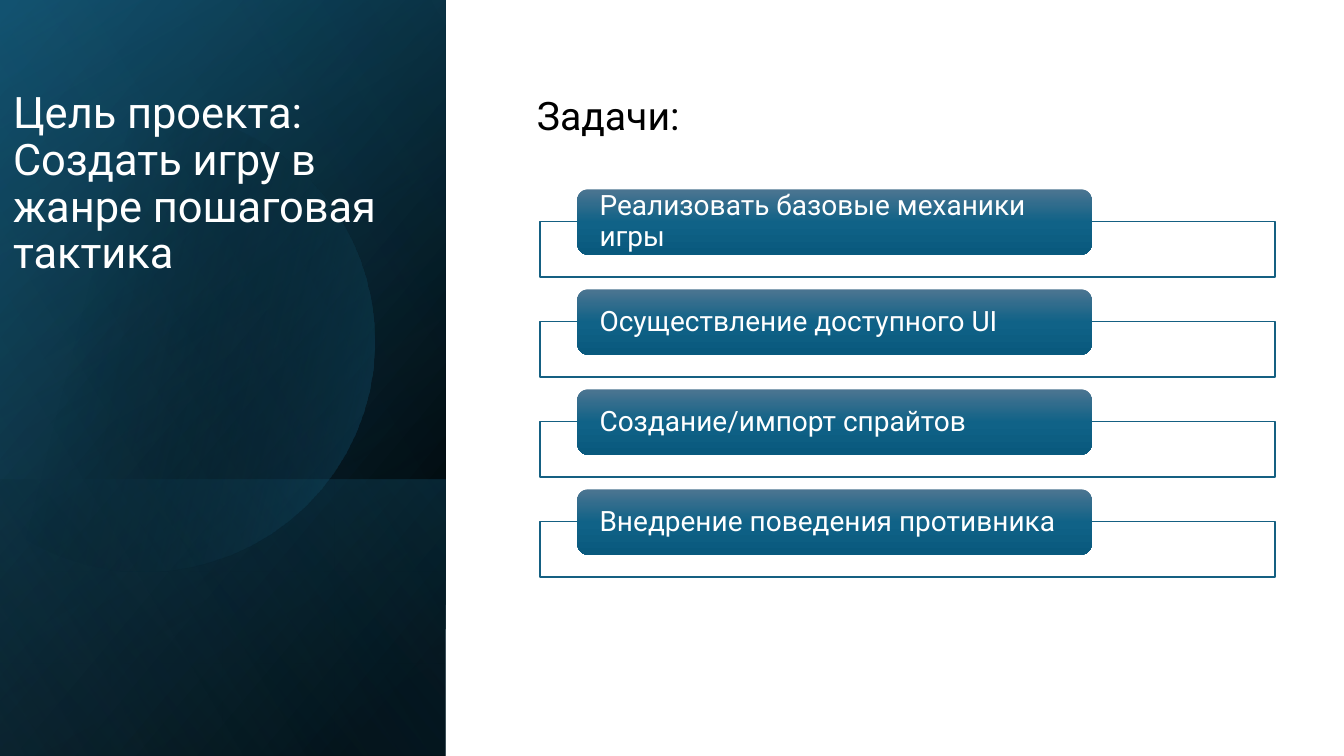
from lxml import etree
from pptx import Presentation
from pptx import util as u
from pptx.dml.color import RGBColor
from pptx.enum import shapes, text
from pptx.oxml import ns

WHITE = RGBColor(0xFF, 0xFF, 0xFF)
BLACK = RGBColor(0x00, 0x00, 0x00)
TEAL = RGBColor(0x15, 0x60, 0x82)
DEEP = RGBColor(0x10, 0x48, 0x62)
SKY = RGBColor(0x46, 0xB1, 0xE1)
CARD_TOP = RGBColor(0x4C, 0x75, 0x91)
CARD_MID = RGBColor(0x10, 0x62, 0x87)
CARD_LOW = RGBColor(0x09, 0x59, 0x7D)

FONT = "Roboto"
TASKS = ["Реализовать базовые механики игры", "Осуществление доступного UI",
         "Создание/импорт спрайтов", "Внедрение поведения противника"]
CARD_STOPS = [(0, CARD_TOP, 100), (50, CARD_MID, 100), (100, CARD_LOW, 100)]
GLOW_START = (9.22, 5.59)
GLOW_CURVES = [
    [(9.04, 2.84), (11.3, 4.5), (12.01, 6.99)][:0] or
    [(6.25, 2.84), (8.51, 4.5), (9.22, 6.99)],
    [(10.11, 10.08), (8.33, 13.28), (5.26, 14.17)],
    [(3.33, 14.73), (1.35, 14.25), (-0.08, 13.06)],
    [(-0.2, 12.96), (-0.28, 12.88), (-0.38, 12.78)],
    [(-0.38, 10), (-0.38, 7.2), (-0.38, 4.45)],
    [(-0.25, 4.33), (-0.13, 4.2), (0, 4.09)],
    [(0.58, 3.58), (1.27, 3.25), (2.03, 3.02)],
    [(2.62, 2.87), (3.2, 2.79), (3.78, 2.79)],
]
GLOW_START = GLOW_CURVES[-1][-1]


def set_gradient(sp, stops, angle):
    """Fill a shape with a linear gradient of (position, colour, opacity) stops."""
    sp.shadow.inherit = False
    sp.line.fill.background()
    sp.fill.background()
    grad = etree.Element(ns.qn("a:gradFill"), rotWithShape="1")
    gs_list = etree.SubElement(grad, ns.qn("a:gsLst"))
    for pos, color, opacity in stops:
        gs = etree.SubElement(gs_list, ns.qn("a:gs"), pos=str(pos * 1000))
        clr = etree.SubElement(gs, ns.qn("a:srgbClr"), val=str(color))
        etree.SubElement(clr, ns.qn("a:alpha"), val=str(opacity * 1000))
    etree.SubElement(grad, ns.qn("a:lin"), ang=str(angle * 60000), scaled="0")
    props = sp._element.spPr
    props.replace(props.find(ns.qn("a:noFill")), grad)


def write(sp, words, size, color, frame=None, para=None):
    """Put one formatted paragraph into a shape."""
    tf = sp.text_frame
    for name, value in {"word_wrap": True, **(frame or {})}.items():
        setattr(tf, name, value)
    p = tf.paragraphs[0]
    for name, value in {"alignment": text.PP_ALIGN.LEFT, **(para or {})}.items():
        setattr(p, name, value)
    r = p.add_run()
    r.text = words
    for name, value in {"name": FONT, "size": u.Pt(size)}.items():
        setattr(r.font, name, value)
    r.font.color.rgb = color


def add_veil(s, x, y, w, h, stops, angle):
    """Cover a box with a mirrored gradient rectangle turned a quarter."""
    sp = s.shapes.add_shape(shapes.MSO_SHAPE.RECTANGLE, u.Cm(x + (w - h) / 2),
                            u.Cm(y + (h - w) / 2), u.Cm(h), u.Cm(w))
    sp.rotation = 90
    sp._element.spPr.find(ns.qn("a:xfrm")).set("flipH", "1")
    set_gradient(sp, stops, angle)


def add_glow(s, x, y):
    """Draw the large cut circle, sampling each of its curves."""
    points = []
    start = GLOW_START
    for c1, c2, end in GLOW_CURVES:
        for k in range(1, 17):
            t = k / 16
            weights = ((1 - t) ** 3, 3 * t * (1 - t) ** 2, 3 * t * t * (1 - t), t ** 3)
            px, py = (sum(wt * v for wt, v in zip(weights, axis))
                      for axis in zip(start, c1, c2, end))
            points.append((u.Cm(x + px), u.Cm(y + py)))
        start = end
    fb = s.shapes.build_freeform(*points[-1])
    fb.add_line_segments(points[:-1], close=True)
    set_gradient(fb.convert_to_shape(), [(29, BLACK, 0), (100, TEAL, 43)], 14)


def add_goal_panel(s, x, y, w, h):
    """Build the dark left panel with the project goal."""
    add_veil(s, x, y, w, h, [(8, BLACK, 100), (100, DEEP, 100)], 50)
    add_veil(s, x, y, w, h, [(0, BLACK, 0), (99, TEAL, 46)], 30)
    low = 6.96
    add_veil(s, x, y + h - low, w, low, [(2, TEAL, 29), (100, BLACK, 30)], 130)
    add_glow(s, x, y)
    add_veil(s, x, y, w, h, [(0, BLACK, 0), (99, SKY, 11)], 120)
    sp = s.shapes.add_textbox(u.Cm(x + 0.08), u.Cm(y + 0.69), u.Cm(10.74), u.Cm(6.45))
    write(sp, "Цель проекта: Создать игру в жанре пошаговая тактика", 31, WHITE,
          {"vertical_anchor": text.MSO_ANCHOR.BOTTOM}, {"line_spacing": 0.9})


def add_task(s, x, y, w, words):
    """Build one outlined bar with its task card on top."""
    bar = s.shapes.add_shape(shapes.MSO_SHAPE.RECTANGLE, u.Cm(x), u.Cm(y + 0.81),
                             u.Cm(w), u.Cm(1.4))
    bar.shadow.inherit = False
    bar.fill.solid()
    bar.fill.fore_color.rgb = WHITE
    clr = bar._element.spPr.find(ns.qn("a:solidFill"))[0]
    etree.SubElement(clr, ns.qn("a:alpha"), val="90000")
    bar.line.color.rgb = TEAL
    bar.line.width = u.Pt(1)
    card = s.shapes.add_shape(shapes.MSO_SHAPE.ROUNDED_RECTANGLE, u.Cm(x + 0.94),
                              u.Cm(y), u.Cm(w * 0.7), u.Cm(1.65))
    set_gradient(card, CARD_STOPS, 90)
    write(card, words, 20, WHITE,
          {"vertical_anchor": text.MSO_ANCHOR.MIDDLE, "margin_left": u.Cm(0.48),
           "margin_right": u.Cm(0.48), "margin_top": 0, "margin_bottom": 0},
          {"line_spacing": 0.9})


def add_task_list(s, x, y, w):
    """Build the heading and the evenly spaced tasks below it."""
    sp = s.shapes.add_textbox(u.Cm(x - 0.33), u.Cm(y), u.Cm(9.6), u.Cm(1.45))
    write(sp, "Задачи:", 28, BLACK)
    for i, words in enumerate(TASKS):
        add_task(s, x, y + 2.59 + i * 2.52, w, words)


def main():
    """Create the slide and save it."""
    prs = Presentation()
    prs.slide_width, prs.slide_height = u.Cm(33.87), u.Cm(19.05)
    s = prs.slides.add_slide(prs.slide_layouts[6])
    add_goal_panel(s, 0, 0, 11.23, 19.05)
    add_task_list(s, 13.61, 2.18, 18.52)
    prs.save("out.pptx")


if __name__ == "__main__":
    main()
